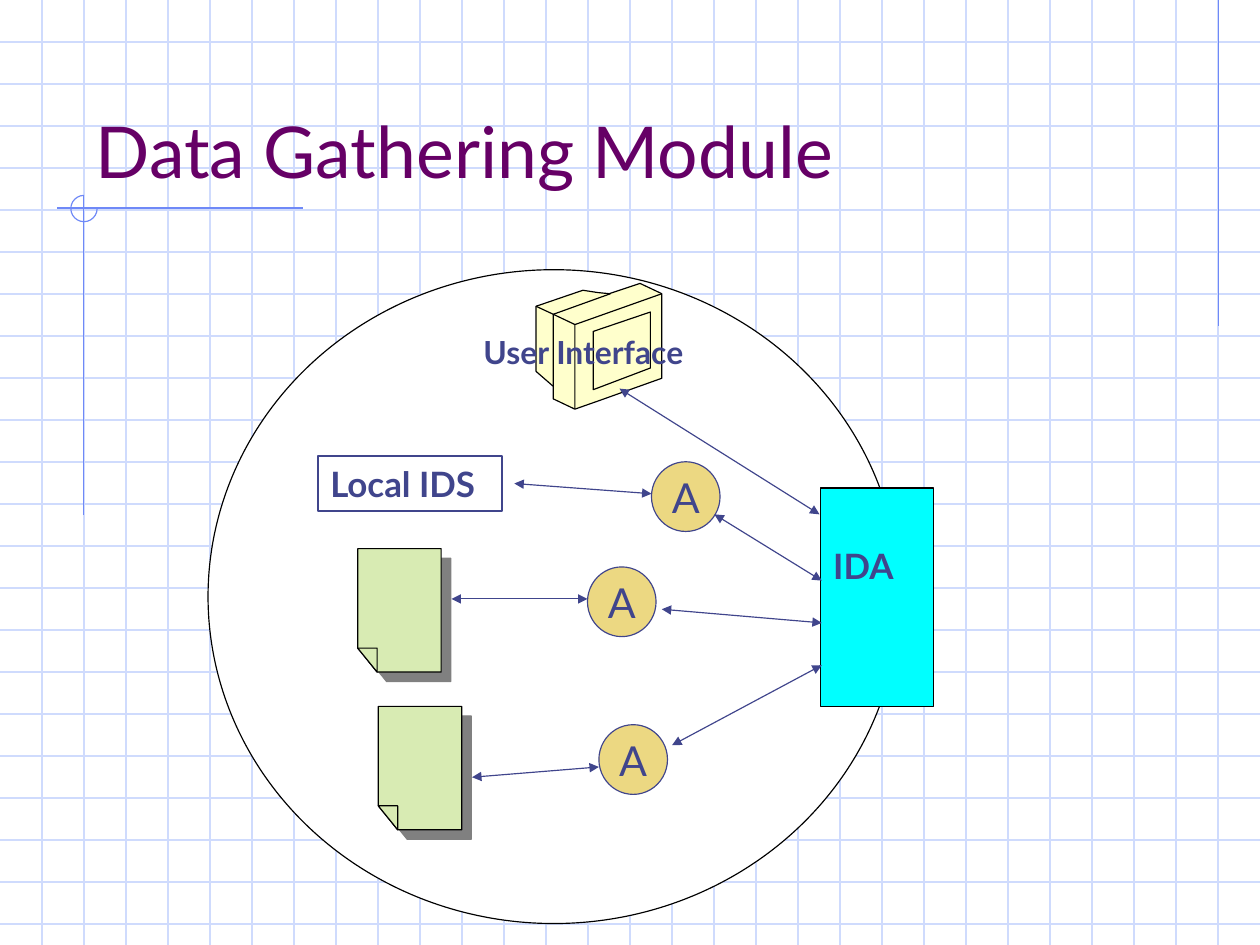
from collections import namedtuple
from dataclasses import dataclass

from lxml.etree import SubElement
from pptx import Presentation
from pptx.dml.color import RGBColor
from pptx.enum.shapes import MSO_CONNECTOR, MSO_SHAPE
from pptx.enum.text import MSO_ANCHOR, PP_ALIGN
from pptx.oxml.ns import qn
from pptx.util import Inches, Pt

Box = namedtuple("Box", "left top width height")


@dataclass(frozen=True)
class Theme:
    """Hold the colours, font and type sizes of the slide."""

    font: str = "Lato"
    title: str = "660066"
    ink: str = "40458C"
    outline: str = "000000"
    grid: str = "CFDBFD"
    accent: str = "6F89F7"
    host: str = "FFFFFF"
    ida: str = "00FFFF"
    agent: str = "ECD882"
    document: str = "D8EBB3"
    monitor: str = "FFFFCC"
    shadow: str = "808080"
    title_size: int = 45
    agent_size: int = 26
    label_size: int = 22
    caption_size: int = 20


THEME = Theme()
CM_PER_INCH = 2.54
SLIDE = Box(0, 0, 28 / CM_PER_INCH, 21 / CM_PER_INCH)
GRID_COLUMNS = 30
GRID_STEP = SLIDE.width / GRID_COLUMNS
AGENT_SIZE = 0.6, 0.61
AGENTS = [(3.88, 1.68), (3.32, 2.6), (3.42, 3.98)]
DOCUMENTS = [(1.49, 3.82), (1.31, 2.44)]
LINKS = [
    (4.43, 2.14, 5.37, 2.72),
    (3.97, 2.97, 5.37, 3.09),
    (4.06, 4.16, 5.37, 3.46),
    (2.31, 4.44, 3.42, 4.35),
    (2.68, 1.87, 3.88, 1.96),
    (2.13, 2.88, 3.32, 2.88),
    (3.6, 1.04, 5.35, 2.14),
]
MONITOR_OUTLINE = [
    (0.34, 1.1), (0.15, 1.01), (0.15, 0.9), (0, 0.77), (0, 0.2), (0.41, 0.06),
    (0.54, 0.08), (0.64, 0.09), (0.91, 0), (1.1, 0.09), (1.1, 0.83), (0.54, 1.03),
]
MONITOR_SCREEN = [(1, 0.74), (1, 0.25), (0.5, 0.42), (0.5, 0.93)]
MONITOR_EDGES = [
    [(0, 0.2), (0.15, 0.27), (0.34, 0.36)],
    [(0.15, 0.9), (0.15, 0.27), (0.65, 0.09)],
    [(1.1, 0.09), (0.34, 0.36), (0.34, 1.1)],
]


def place(box, left, top, width, height):
    """Return a box offset from the corner of another."""
    return Box(box.left + left, box.top + top, width, height)


def style(shape, fill, line, weight=0.75):
    """Give a shape its fill and line and remove its shadow."""
    shape.shadow.inherit = False
    if fill:
        shape.fill.solid()
        shape.fill.fore_color.rgb = RGBColor.from_string(fill)
    else:
        shape.fill.background()
    shape.line.color.rgb = RGBColor.from_string(line)
    shape.line.width = Pt(weight)
    return shape


def add_preset(slide, kind, box, fill, line, weight=0.75):
    """Add a styled preset shape."""
    shape = slide.shapes.add_shape(kind, *map(Inches, box))
    return style(shape, fill, line, weight)


def add_outline(slide, box, points, fill=None, close=True):
    """Add a freeform whose points are relative to the box."""
    corners = [(Inches(box.left + x), Inches(box.top + y)) for x, y in points]
    builder = slide.shapes.build_freeform(*corners[0])
    builder.add_line_segments(corners[1:], close=close)
    return style(builder.convert_to_shape(), fill, THEME.outline)


def add_line(slide, ends, color, arrows=False):
    """Add a straight line, with arrowheads at both ends if asked."""
    line = slide.shapes.add_connector(MSO_CONNECTOR.STRAIGHT, *map(Inches, ends))
    line.line.color.rgb = RGBColor.from_string(color)
    line.line.width = Pt(0.75)
    properties = line._element.spPr
    if arrows:
        for end in ("a:headEnd", "a:tailEnd"):
            SubElement(properties.find(qn("a:ln")), qn(end), type="triangle")
    SubElement(properties, qn("a:effectLst"))


def write(shape, text, size, color=THEME.ink, bold=False,
          anchor=MSO_ANCHOR.TOP, align=PP_ALIGN.LEFT, side=0.11, top=0.06):
    """Write one formatted paragraph into a shape."""
    frame = shape.text_frame
    layout = {
        "word_wrap": True, "vertical_anchor": anchor,
        "margin_left": Inches(side), "margin_right": Inches(side),
        "margin_top": Inches(top), "margin_bottom": Inches(0.06),
    }
    for name, value in layout.items():
        setattr(frame, name, value)
    paragraph = frame.paragraphs[0]
    paragraph.text = text
    paragraph.alignment = align
    font = paragraph.runs[0].font
    for name, value in {"name": THEME.font, "size": Pt(size), "bold": bold}.items():
        setattr(font, name, value)
    font.color.rgb = RGBColor.from_string(color)


def draw_backdrop(slide, box):
    """Draw the graph paper and its accent lines."""
    right, bottom = box.left + box.width, box.top + box.height
    for row in range(1, int(box.height / GRID_STEP) + 1):
        y = box.top + row * GRID_STEP
        add_line(slide, (box.left, y, right, y), THEME.grid)
    for column in range(1, GRID_COLUMNS):
        x = box.left + column * GRID_STEP
        add_line(slide, (x, box.top, x, bottom), THEME.grid)
    for x1, y1, x2, y2 in [(10.66, 0, 10.66, 2.85), (2.65, 1.82, 0.5, 1.82),
                           (0.73, 1.71, 0.73, 4.51)]:
        ends = box.left + x1, box.top + y1, box.left + x2, box.top + y2
        add_line(slide, ends, THEME.accent)
    arc = add_preset(slide, MSO_SHAPE.ARC, place(box, 0.62, 1.71, 0.23, 0.23),
                     None, THEME.accent)
    arc.adjustments[0] = 0
    arc.adjustments[1] = 162


def draw_title(slide, box):
    """Write the slide title."""
    title = slide.shapes.add_textbox(*map(Inches, box))
    write(title, "Data Gathering Module", THEME.title_size, THEME.title,
          anchor=MSO_ANCHOR.BOTTOM)


def draw_document(slide, box):
    """Draw a page with a folded corner and a hard shadow."""
    fold_x, fold_y = 0.17, box.height - 0.21
    page = add_outline(slide, box, [
        (0, 0), (box.width, 0), (box.width, box.height), (fold_x, box.height),
        (0, fold_y)], THEME.document)
    effects = page._element.spPr.find(qn("a:effectLst"))
    shadow = SubElement(effects, qn("a:outerShdw"), dist=str(Pt(8.5)),
                        dir="2700000", algn="tl", rotWithShape="0")
    SubElement(shadow, qn("a:srgbClr"), val=THEME.shadow)
    add_outline(slide, box, [(0, fold_y), (fold_x, fold_y), (fold_x, box.height)],
                THEME.document)


def draw_monitor(slide, box):
    """Draw the computer monitor."""
    add_outline(slide, box, MONITOR_OUTLINE, THEME.monitor)
    add_outline(slide, box, MONITOR_SCREEN)
    for edge in MONITOR_EDGES:
        add_outline(slide, box, edge, close=False)


def draw_host(slide, box):
    """Draw the host with its agents, sources and links."""
    add_preset(slide, MSO_SHAPE.OVAL, box, THEME.host, THEME.outline)
    ida = add_preset(slide, MSO_SHAPE.RECTANGLE, place(box, 5.36, 1.91, 0.99, 1.91),
                     THEME.ida, THEME.outline)
    write(ida, "IDA", THEME.label_size, bold=True, top=0.49)
    for corner in AGENTS:
        agent = add_preset(slide, MSO_SHAPE.OVAL, place(box, *corner, *AGENT_SIZE),
                           THEME.agent, THEME.ink)
        write(agent, "A", THEME.agent_size, anchor=MSO_ANCHOR.MIDDLE,
              align=PP_ALIGN.CENTER, side=0)
    local_ids = add_preset(slide, MSO_SHAPE.RECTANGLE,
                           place(box, 0.96, 1.63, 1.61, 0.48), None, THEME.ink, 1.5)
    write(local_ids, "Local IDS", THEME.label_size, bold=True)
    for corner in DOCUMENTS:
        draw_document(slide, place(box, *corner, 0.73, 1.08))
    draw_monitor(slide, place(box, 2.87, 0.12, 1.1, 1.1))
    for x1, y1, x2, y2 in LINKS:
        ends = box.left + x1, box.top + y1, box.left + x2, box.top + y2
        add_line(slide, ends, THEME.ink, arrows=True)
    caption = slide.shapes.add_textbox(*map(Inches, place(box, 2.3, 0.49, 2.22, 0.44)))
    write(caption, "User Interface", THEME.caption_size, bold=True)


def main():
    """Build and save the slide."""
    deck = Presentation()
    deck.slide_width, deck.slide_height = Inches(SLIDE.width), Inches(SLIDE.height)
    slide = deck.slides.add_slide(deck.slide_layouts[6])
    draw_backdrop(slide, SLIDE)
    draw_title(slide, Box(0.73, 0.37, 9.37, 1.38))
    draw_host(slide, Box(1.82, 2.36, 6.05, 5.72))
    deck.save("out.pptx")


if __name__ == "__main__":
    main()
